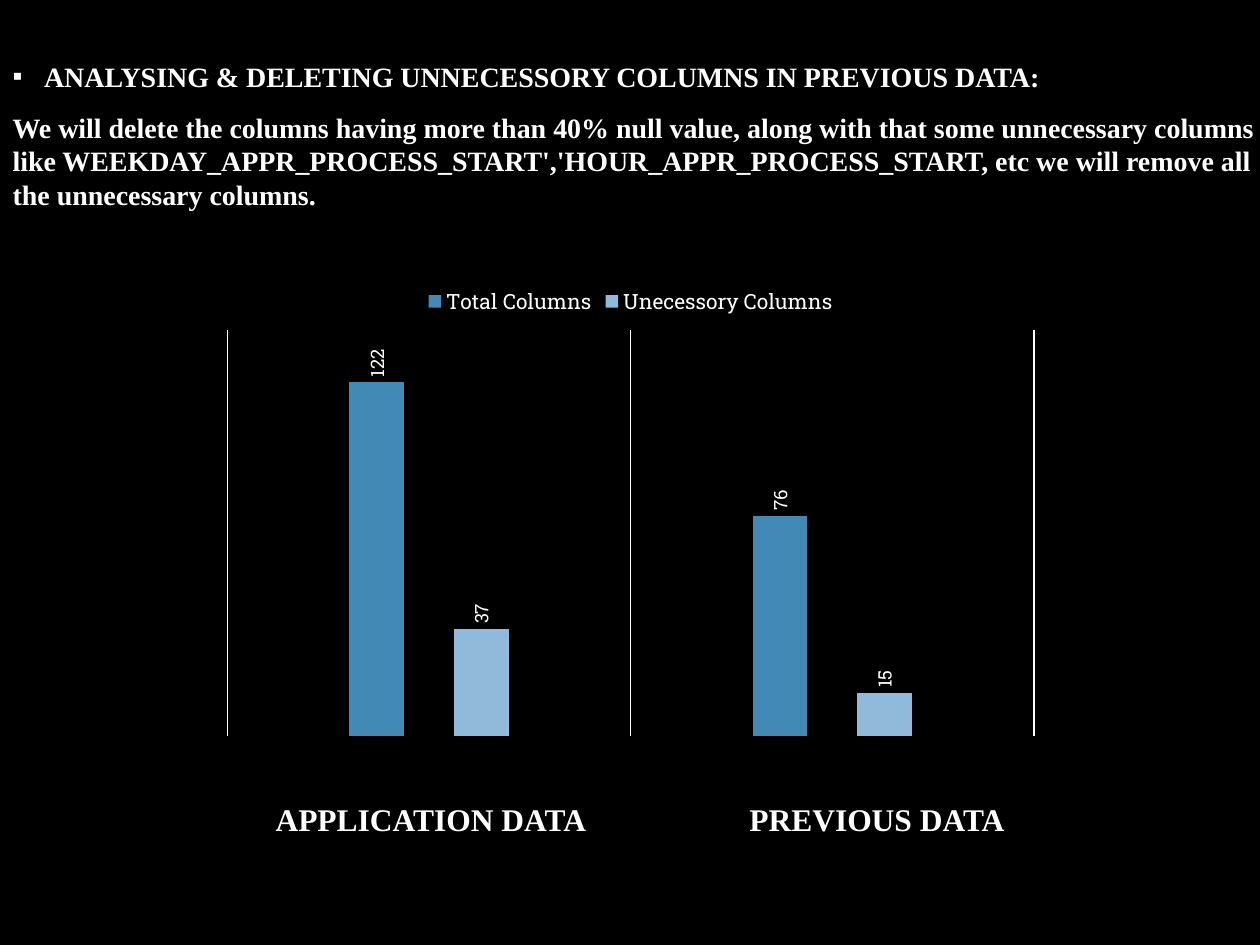
import dataclasses

import pptx
import pptx.chart.data
import pptx.dml.color
import pptx.enum.chart
import pptx.enum.text
import pptx.oxml
import pptx.oxml.ns
import pptx.util
from pptx.util import Inches


@dataclasses.dataclass(frozen=True)
class Theme:
    background: str = "000000"
    text: str = "FFFFFF"
    total: str = "428AB5"
    unnecessary: str = "91B9D9"
    body_font: str = "Times New Roman"
    chart_font: str = "Roboto Slab"
    body_size: float = 16
    caption_size: float = 18
    chart_size: float = 10
    legend_size: float = 12
    label_size: float = 10.6


THEME = Theme()
BODY_BOX = (0, 0.42, 10.17, 5.92)
CHART_BOX = (1.67, 2.17, 6.67, 3.75)
CAPTIONS_BOX = (1.65, 6.3, 7.08, 0.4)


def color(value):
    return pptx.dml.color.RGBColor.from_string(value)


def set_font(font, name, size, bold=False):
    font.name = name
    font.size = pptx.util.Pt(size)
    font.bold = bold
    font.color.rgb = color(THEME.text)


def add_xml(parent, tag, **attributes):
    element = pptx.oxml.parse_xml(f"<{tag} {pptx.oxml.ns.nsdecls('a')}/>")
    for name, value in attributes.items():
        element.set(name, str(value))
    parent.append(element)


def write_paragraph(paragraph, text, size=THEME.body_size, before=0,
                    align=pptx.enum.text.PP_ALIGN.LEFT, bullet=None, indent=0):
    paragraph.alignment = align
    paragraph.space_before = pptx.util.Pt(before)
    paragraph.space_after = pptx.util.Pt(0)
    paragraph.line_spacing = 1.0
    run = paragraph.add_run()
    run.text = text
    set_font(run.font, THEME.body_font, size, bold=True)

    properties = paragraph._p.get_or_add_pPr()
    properties.set("marL", str(Inches(indent)))
    properties.set("indent", str(-Inches(indent)))
    if bullet:
        add_xml(properties, "a:buFont", typeface="Arial")
        add_xml(properties, "a:buChar", char=bullet)
    else:
        add_xml(properties, "a:buNone")


def fill_body(body, box):
    body.left, body.top, body.width, body.height = map(Inches, box)
    frame = body.text_frame
    frame.word_wrap = True
    frame.auto_size = pptx.enum.text.MSO_AUTO_SIZE.NONE
    frame.vertical_anchor = pptx.enum.text.MSO_ANCHOR.TOP
    write_paragraph(
        frame.paragraphs[0],
        "ANALYSING & DELETING UNNECESSORY COLUMNS IN PREVIOUS DATA:",
        bullet="▪", indent=0.25)
    write_paragraph(
        frame.add_paragraph(),
        "We will delete the columns having more than 40% null value, along "
        "with that some unnecessary columns like "
        "WEEKDAY_APPR_PROCESS_START','HOUR_APPR_PROCESS_START, etc we will "
        "remove all the unnecessary columns.",
        before=10)


def add_captions(slide, box, captions):
    """Centre each caption in an equal share of the box."""
    left, top, width, height = box
    share = width / len(captions)
    for index, caption in enumerate(captions):
        frame = slide.shapes.add_textbox(
            Inches(left + index * share), Inches(top),
            Inches(share), Inches(height)).text_frame
        frame.word_wrap = True
        frame.vertical_anchor = pptx.enum.text.MSO_ANCHOR.MIDDLE
        write_paragraph(frame.paragraphs[0], caption, size=THEME.caption_size,
                        align=pptx.enum.text.PP_ALIGN.CENTER)


def set_plot_layout(chart, **fractions):
    """Fix the inner plot area as fractions of the chart box."""
    plot_area = chart._chartSpace.chart.plotArea
    for old in plot_area.findall(pptx.oxml.ns.qn("c:layout")):
        plot_area.remove(old)
    values = "".join(f'<c:{name} val="{value}"/>'
                     for name, value in fractions.items())
    plot_area.insert(0, pptx.oxml.parse_xml(
        f"<c:layout {pptx.oxml.ns.nsdecls('c')}><c:manualLayout>"
        '<c:layoutTarget val="inner"/><c:xMode val="edge"/>'
        f'<c:yMode val="edge"/>{values}</c:manualLayout></c:layout>'))


def style_series(series, fill):
    series.format.fill.solid()
    series.format.fill.fore_color.rgb = color(fill)
    labels = series.data_labels
    labels.show_value = True
    labels.position = pptx.enum.chart.XL_LABEL_POSITION.OUTSIDE_END
    set_font(labels.font, THEME.chart_font, THEME.label_size)
    text_body = labels._element.find(pptx.oxml.ns.qn("c:txPr"))
    body_properties = text_body.find(pptx.oxml.ns.qn("a:bodyPr"))
    body_properties.set("rot", "-5400000")
    body_properties.set("vert", "horz")


def add_columns_chart(slide, box):
    data = pptx.chart.data.CategoryChartData()
    data.categories = ["1", "2"]
    data.add_series("Total Columns", (122, 76))
    data.add_series("Unecessory Columns", (37, 15))
    chart = slide.shapes.add_chart(
        pptx.enum.chart.XL_CHART_TYPE.COLUMN_CLUSTERED,
        *map(Inches, box), data).chart
    set_font(chart.font, THEME.chart_font, THEME.chart_size)
    chart.has_title = False
    chart.has_legend = True
    chart.legend.position = pptx.enum.chart.XL_LEGEND_POSITION.TOP
    chart.legend.include_in_layout = False
    set_font(chart.legend.font, THEME.chart_font, THEME.legend_size)

    category_axis, value_axis = chart.category_axis, chart.value_axis
    category_axis.visible = value_axis.visible = False
    value_axis.has_major_gridlines = False
    value_axis.minimum_scale, value_axis.maximum_scale = 0, 140
    category_axis.has_major_gridlines = True
    line = category_axis.major_gridlines.format.line
    line.color.rgb = color(THEME.text)
    line.width = pptx.util.Pt(0.75)

    plot = chart.plots[0]
    plot.gap_width, plot.overlap = 444, -90
    plot.vary_by_categories = False
    for series, fill in zip(plot.series, (THEME.total, THEME.unnecessary)):
        style_series(series, fill)
    set_plot_layout(chart, x=0.02, y=0.12, w=0.96, h=0.86)


def main():
    presentation = pptx.Presentation()
    presentation.slide_width = Inches(10)
    presentation.slide_height = Inches(7.5)
    slide = presentation.slides.add_slide(presentation.slide_layouts[1])
    slide.background.fill.solid()
    slide.background.fill.fore_color.rgb = color(THEME.background)
    title = slide.shapes.title._element
    title.getparent().remove(title)
    fill_body(slide.placeholders[1], BODY_BOX)
    add_columns_chart(slide, CHART_BOX)
    add_captions(slide, CAPTIONS_BOX, ("APPLICATION DATA", "PREVIOUS DATA"))
    presentation.save("out.pptx")


if __name__ == "__main__":
    main()
